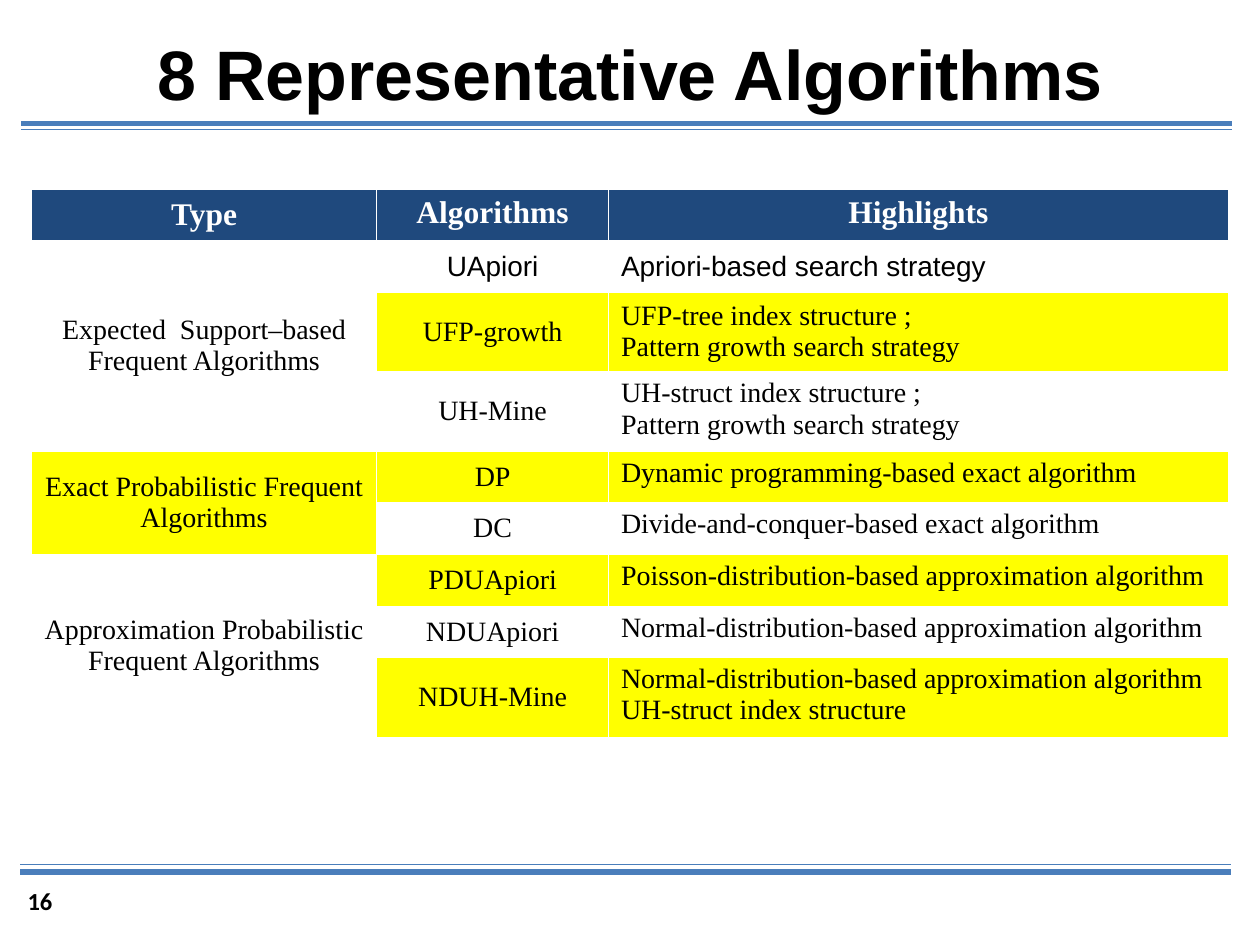
from lxml import etree
from pptx import Presentation
from pptx import util as u
from pptx.dml.color import RGBColor
from pptx.enum import shapes, text
from pptx.oxml.ns import qn

COLORS = {"rule": "4A7EBB", "header": "1F497D", "mark": "FFFF00",
          "white": "FFFFFF", "black": "000000"}
SERIF = "Times New Roman"
CENTER, LEFT, JUSTIFY = text.PP_ALIGN.CENTER, text.PP_ALIGN.LEFT, text.PP_ALIGN.JUSTIFY
MIDDLE, TOP = text.MSO_ANCHOR.MIDDLE, text.MSO_ANCHOR.TOP

HEADINGS = ["Type", "Algorithms", "Highlights"]
# Type, whether it is marked, then (algorithm, highlights, alignment, anchor, font)
GROUPS = [
    ("Expected  Support–based Frequent Algorithms", False, [
        ("UApiori", ["Apriori-based search strategy"], JUSTIFY, MIDDLE, "Arial"),
        ("UFP-growth", ["UFP-tree index structure ; ", "Pattern growth search strategy"],
         JUSTIFY, MIDDLE, SERIF),
        ("UH-Mine", ["UH-struct index structure ; ", "Pattern growth search strategy"],
         JUSTIFY, TOP, SERIF)]),
    ("Exact Probabilistic Frequent Algorithms", True, [
        ("DP", ["Dynamic programming-based exact algorithm"], LEFT, TOP, SERIF),
        ("DC", ["Divide-and-conquer-based exact algorithm"], LEFT, TOP, SERIF)]),
    ("Approximation Probabilistic Frequent Algorithms", False, [
        ("PDUApiori", ["Poisson-distribution-based approximation algorithm"], LEFT, TOP, SERIF),
        ("NDUApiori", ["Normal-distribution-based approximation algorithm"], LEFT, TOP, SERIF),
        ("NDUH-Mine", ["Normal-distribution-based approximation algorithm",
                       "UH-struct index structure"], LEFT, TOP, SERIF)]),
]
MARKED = {"UFP-growth", "DP", "PDUApiori", "NDUH-Mine"}
COLUMNS = [2.74, 1.84, 4.92]
ROW_HEIGHTS = {1: 0.41, 2: 0.63}  # by number of text lines


def color(name):
    return RGBColor.from_string(COLORS[name])


def write(frame, lines, size=16, font=SERIF, ink="black", bold=False,
          align=CENTER, anchor=MIDDLE):
    frame.word_wrap = True
    frame.vertical_anchor = anchor
    for index, line in enumerate(lines):
        paragraph = frame.paragraphs[0] if index == 0 else frame.add_paragraph()
        paragraph.alignment = align
        run = paragraph.add_run()
        run.text = line
        run.font.size, run.font.name, run.font.bold = u.Pt(size), font, bold
        run.font.color.rgb = color(ink)


def set_borders(cell, heavy_side=None):
    properties = cell._tc.get_or_add_tcPr()
    for position, side in enumerate(("lnL", "lnR", "lnT", "lnB")):
        width = 1.47 if side == heavy_side else 0.45
        line = etree.Element(qn("a:" + side), w=str(u.Pt(width)))
        fill = etree.SubElement(line, qn("a:solidFill"))
        etree.SubElement(fill, qn("a:srgbClr"), val=COLORS["white"])
        properties.insert(position, line)


def format_cell(cell, fill, heavy_side=None):
    cell.fill.solid()
    cell.fill.fore_color.rgb = color(fill)
    set_borders(cell, heavy_side)


def add_rules(slide, left, width, thick_y, thin_y):
    for y, weight in ((thick_y, 3), (thin_y, 0.75)):
        rule = slide.shapes.add_connector(
            shapes.MSO_CONNECTOR.STRAIGHT, u.Inches(left), u.Inches(y),
            u.Inches(left + width), u.Inches(y))
        rule.line.color.rgb = color("rule")
        rule.line.width = u.Pt(weight)
        etree.SubElement(rule._element.spPr, qn("a:effectLst"))


def add_title(slide, left, top, width, height):
    title = slide.shapes.title
    title.left, title.top, title.width, title.height = map(
        u.Inches, (left, top, width, height))
    write(title.text_frame, ["8 Representative Algorithms"], size=40, font="Arial", bold=True)


def add_algorithm_table(slide, left, top):
    members = [member for _, _, group in GROUPS for member in group]
    heights = [ROW_HEIGHTS[1]] + [ROW_HEIGHTS[len(member[1])] for member in members]
    table = slide.shapes.add_table(
        len(heights), len(COLUMNS), u.Inches(left), u.Inches(top),
        u.Inches(sum(COLUMNS)), u.Inches(sum(heights))).table
    for column, width in zip(table.columns, COLUMNS):
        column.width = u.Inches(width)
    for row, height in zip(table.rows, heights):
        row.height = u.Inches(height)

    # Header row
    for index, heading in enumerate(HEADINGS):
        cell = table.cell(0, index)
        format_cell(cell, "header", "lnB")
        write(cell.text_frame, [heading], size=18, ink="white", bold=True)
        cell.text_frame.paragraphs[0].space_before = u.Pt(0)
        cell.vertical_anchor = MIDDLE if index == 0 else TOP

    # One merged type cell beside the rows of its algorithms
    row = 1
    for kind, kind_marked, group in GROUPS:
        first = row
        for name, highlights, align, anchor, font in group:
            heavy_side = "lnT" if row == 1 else None
            fill = "mark" if name in MARKED else "white"
            kind_cell, name_cell, highlight_cell = (table.cell(row, i) for i in range(3))
            format_cell(kind_cell, "mark" if kind_marked else "white", heavy_side)
            format_cell(name_cell, fill, heavy_side)
            format_cell(highlight_cell, fill, heavy_side)
            write(name_cell.text_frame, [name], font=font)
            write(highlight_cell.text_frame, highlights, font=font, align=align)
            name_cell.vertical_anchor = MIDDLE
            highlight_cell.vertical_anchor = anchor
            row += 1
        type_cell = table.cell(first, 0)
        type_cell.merge(table.cell(row - 1, 0))
        write(type_cell.text_frame, [kind])
        type_cell.vertical_anchor = MIDDLE


def add_page_number(slide, left, top, width, height):
    box = slide.shapes.add_textbox(*map(u.Inches, (left, top, width, height)))
    write(box.text_frame, ["16"], size=14, font="Calibri", bold=True, align=LEFT, anchor=TOP)


def main():
    presentation = Presentation()
    presentation.slide_width, presentation.slide_height = u.Inches(10), u.Inches(7.5)
    slide = presentation.slides.add_slide(presentation.slide_layouts[5])
    add_rules(slide, 0.17, 9.61, thick_y=0.98, thin_y=1.03)
    add_rules(slide, 0.16, 9.61, thick_y=6.92, thin_y=6.86)
    add_algorithm_table(slide, 0.25, 1.5)
    add_title(slide, 0, 0.18, 10, 0.79)
    add_page_number(slide, 0.12, 6.98, 1.02, 0.4)
    presentation.save("out.pptx")


if __name__ == "__main__":
    main()
